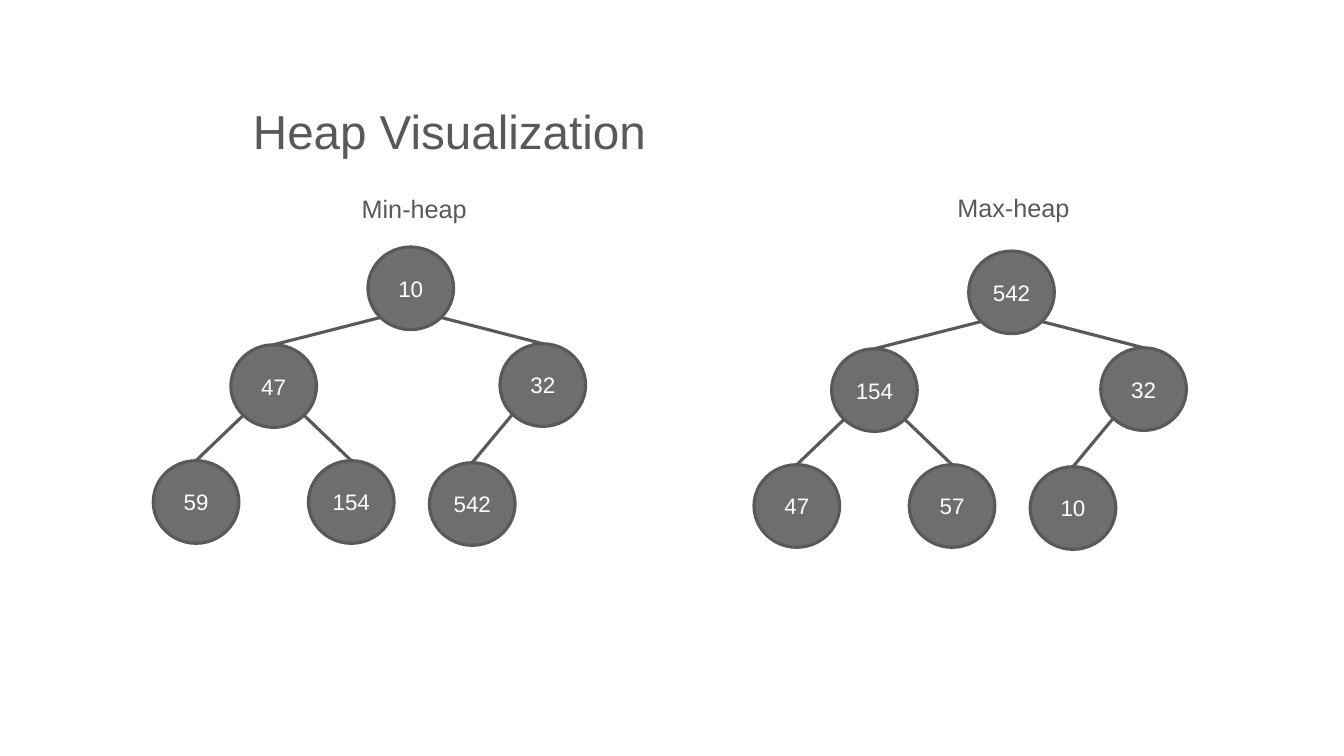
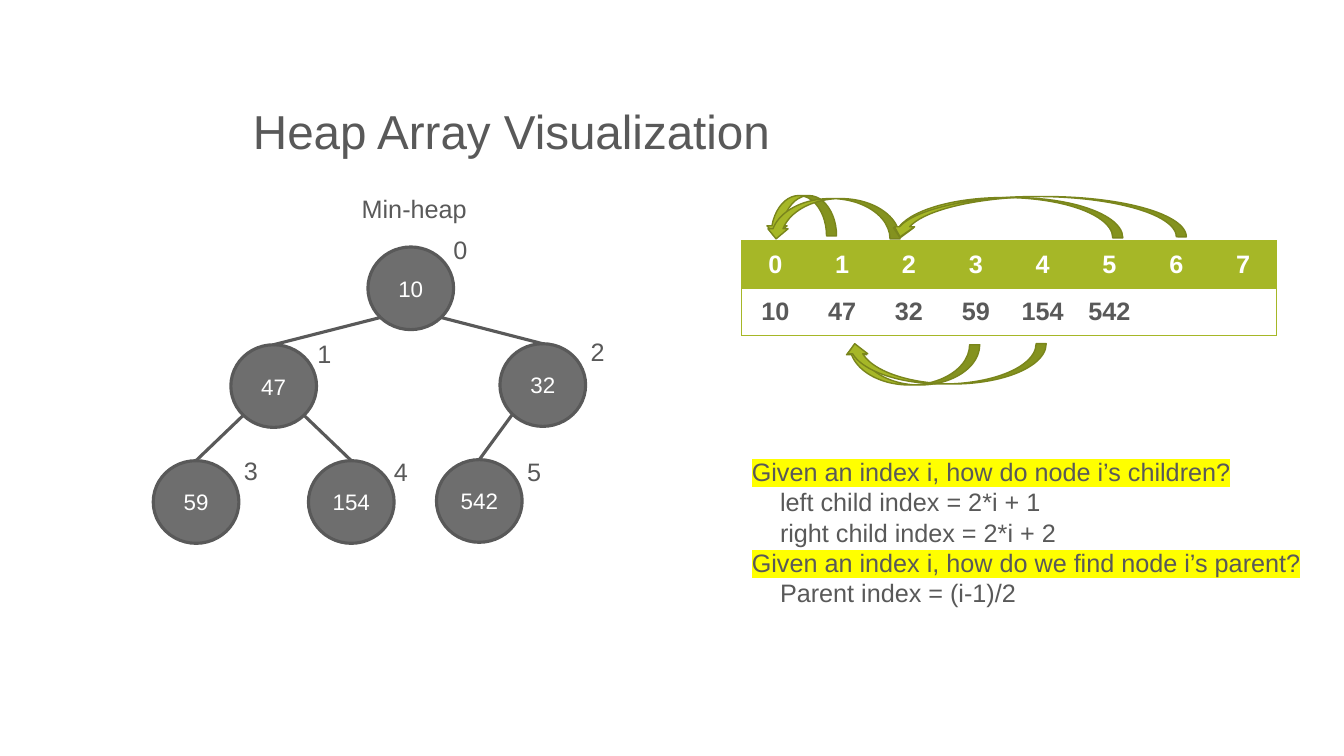
from lxml import etree
from pptx import Presentation
from pptx.dml.color import RGBColor
from pptx.enum.shapes import MSO_CONNECTOR, MSO_SHAPE
from pptx.enum.text import MSO_ANCHOR, MSO_AUTO_SIZE, PP_ALIGN
from pptx.oxml.ns import qn
from pptx.util import Inches, Pt

INK = RGBColor(0x59, 0x59, 0x59)
NODE_GRAY = RGBColor(0x6E, 0x6E, 0x6E)
WHITE = RGBColor(0xFF, 0xFF, 0xFF)
GREEN = RGBColor(0xA6, 0xB7, 0x27)
DARK_GREEN = RGBColor(0x79, 0x85, 0x1C)
YELLOW = RGBColor(0xFF, 0xFF, 0x00)

ELLIPSE = MSO_SHAPE.OVAL
ARC_ABOVE = MSO_SHAPE.CURVED_DOWN_ARROW
ARC_BELOW = MSO_SHAPE.CURVED_UP_ARROW
STRAIGHT = MSO_CONNECTOR.STRAIGHT
LEFT, CENTER = PP_ALIGN.LEFT, PP_ALIGN.CENTER
MIDDLE, BOTTOM = MSO_ANCHOR.MIDDLE, MSO_ANCHOR.BOTTOM
NO_FIT, GROW = MSO_AUTO_SIZE.NONE, MSO_AUTO_SIZE.SHAPE_TO_FIT_TEXT

COLUMNS, ROWS = 80, 45
NODE_WIDTH, NODE_HEIGHT = 5.1, 4.92
DIAGONAL = 0.5 ** 0.5
TITLE_ONLY = 5

TITLE_FONT = {"name": "Arial", "size": Pt(34), "bold": False}
BODY_FONT = {"name": "Arial", "size": Pt(18), "bold": False}
NODE_FONT = {"name": "Arial", "size": Pt(16), "bold": False}
CELL_FONT = {"name": "Arial", "size": Pt(18), "bold": True}
TITLE_FRAME = {"vertical_anchor": BOTTOM, "auto_size": NO_FIT, "word_wrap": True}
BODY_FRAME = {"auto_size": GROW, "word_wrap": True}
NODE_FRAME = {"vertical_anchor": MIDDLE, "word_wrap": True}
CELL_FORMAT = {"vertical_anchor": MIDDLE}
CELL_FORMAT.update({f"margin_{side}": Inches(0.08)
                    for side in ("left", "right", "top", "bottom")})

TREE = [(21.9, 14.7), (13.74, 20.52), (29.76, 20.46),
        (9.12, 27.42), (18.36, 27.42), (25.56, 27.54)]
INDEXED_TREE = TREE[:-1] + [(25.98, 27.36)]
INDEX_SPOTS = [(26.4, 13.68), (18.3, 19.86), (34.56, 19.74),
               (13.92, 26.82), (22.86, 26.88), (30.78, 26.88)]
MIN_HEAP = [10, 47, 32, 59, 154, 542]
MAX_HEAP = [542, 154, 32, 47, 57, 10]
MAX_TREE = [(column + 35.76, row + 0.24) for column, row in TREE]
PARENT_ARCS = [
    (ARC_ABOVE, 45.6, 11.64, 4.2),
    (ARC_ABOVE, 45.6, 11.82, 7.98),
    (ARC_BELOW, 50.28, 20.52, 8.04),
    (ARC_BELOW, 50.28, 20.46, 12),
    (ARC_ABOVE, 52.98, 11.76, 13.86),
    (ARC_ABOVE, 52.98, 11.7, 17.64),
]
INDEX_RULES = [
    ("Given an index i, how do node i’s children?", True),
    ("left child index = 2*i + 1", False),
    ("right child index = 2*i + 2", False),
    ("Given an index i, how do we find node i’s parent?", True),
    ("Parent index = (i-1)/2", False),
]


def apply(target, formats):
    for name, value in formats.items():
        setattr(target, name, value)


class HeapDeck:
    def __init__(self):
        self.deck = Presentation()
        apply(self.deck, {"slide_width": Inches(13.3333), "slide_height": Inches(7.5)})
        self.slide = None

    def x(self, columns):
        return round(self.deck.slide_width * columns / COLUMNS)

    def y(self, rows):
        return round(self.deck.slide_height * rows / ROWS)

    def box(self, column, row, width, height):
        return self.x(column), self.y(row), self.x(width), self.y(height)

    def add_text(self, paragraph, text, font, color, align=LEFT):
        paragraph.alignment = align
        run = paragraph.add_run()
        run.text = str(text)
        apply(run.font, font)
        run.font.color.rgb = color
        return run

    def add_slide(self, heading):
        self.slide = self.deck.slides.add_slide(self.deck.slide_layouts[TITLE_ONLY])
        title = self.slide.shapes.title
        apply(title, dict(zip(("left", "top", "width", "height"),
                              self.box(14.46, 1.98, 61.5, 7.86))))
        apply(title.text_frame, TITLE_FRAME)
        paragraph = title.text_frame.paragraphs[0]
        paragraph.line_spacing = 0.9
        self.add_text(paragraph, heading, TITLE_FONT, INK)

    def text_frame(self, column, row, width, height=2.4):
        frame = self.slide.shapes.add_textbox(*self.box(column, row, width, height)).text_frame
        apply(frame, BODY_FRAME)
        return frame

    def label(self, text, column, row, width):
        frame = self.text_frame(column, row, width)
        self.add_text(frame.paragraphs[0], text, BODY_FONT, INK)

    def shape(self, kind, bounds, fill, outline, weight):
        shape = self.slide.shapes.add_shape(kind, *self.box(*bounds))
        shape.shadow.inherit = False
        shape.fill.solid()
        shape.fill.fore_color.rgb = fill
        shape.line.color.rgb = outline
        shape.line.width = Pt(weight)
        return shape

    def node(self, value, column, row):
        node = self.shape(ELLIPSE, (column, row, NODE_WIDTH, NODE_HEIGHT),
                          NODE_GRAY, INK, 2.25)
        apply(node.text_frame, NODE_FRAME)
        self.add_text(node.text_frame.paragraphs[0], value, NODE_FONT, WHITE, CENTER)
        return node

    def edge(self, parent, child, side):
        start_x = parent.left + round(parent.width * (1 + side * DIAGONAL) / 2)
        start_y = parent.top + round(parent.height * (1 + DIAGONAL) / 2)
        edge = self.slide.shapes.add_connector(STRAIGHT, start_x, start_y, start_x, start_y)
        edge.end_connect(child, 0)
        edge.line.color.rgb = INK
        edge.line.width = Pt(2.25)
        etree.SubElement(edge._element.spPr, qn("a:effectLst"))

    def heap(self, values, spots):
        nodes = [self.node(value, *spot) for value, spot in zip(values, spots)]
        for index, child in enumerate(nodes[1:], 1):
            self.edge(nodes[(index - 1) // 2], child, -1 if index % 2 else 1)

    def parent_arc(self, kind, column, row, width):
        arc = self.shape(kind, (column, row, width, 2.4), GREEN, DARK_GREEN, 1)
        arc._element.spPr.find(qn("a:xfrm")).set("flipH", "1")

    def border(self, cell, side, visible):
        line = etree.SubElement(cell._tc.get_or_add_tcPr(), qn(f"a:ln{side}"), w=str(Pt(1)))
        if visible:
            fill = etree.SubElement(line, qn("a:solidFill"))
            etree.SubElement(fill, qn("a:srgbClr"), val=str(GREEN))
        else:
            etree.SubElement(line, qn("a:noFill"))

    def array_table(self, values, size, column, row):
        table = self.slide.shapes.add_table(
            2, size, *self.box(column, row, 3.98 * size, 5.64)).table
        apply(table, {"first_row": False, "horz_banding": False})
        contents = [list(range(size)), values + [""] * (size - len(values))]
        styles = [(GREEN, WHITE), (WHITE, INK)]
        for line, (entries, (fill, ink)) in enumerate(zip(contents, styles)):
            for index, entry in enumerate(entries):
                cell = table.cell(line, index)
                apply(cell, CELL_FORMAT)
                borders = {"L": index == 0, "R": index == size - 1, "T": True, "B": True}
                for side, visible in borders.items():
                    self.border(cell, side, visible)
                cell.fill.solid()
                cell.fill.fore_color.rgb = fill
                if entry != "":
                    self.add_text(cell.text_frame.paragraphs[0], entry, CELL_FONT, ink, CENTER)

    def rules(self, entries, column, row, width, height):
        frame = self.text_frame(column, row, width, height)
        for index, (text, question) in enumerate(entries):
            paragraph = frame.add_paragraph() if index else frame.paragraphs[0]
            run = self.add_text(paragraph, text, BODY_FONT, INK)
            if question:
                highlight = etree.Element(qn("a:highlight"))
                etree.SubElement(highlight, qn("a:srgbClr"), val=str(YELLOW))
                run._r.rPr.find(qn("a:latin")).addprevious(highlight)
            else:
                paragraph._p.get_or_add_pPr().set("marL", str(Inches(0.28)))


def main():
    show = HeapDeck()

    show.add_slide("Heap Visualization")
    show.heap(MIN_HEAP, TREE)
    show.heap(MAX_HEAP, MAX_TREE)
    show.label("Min-heap", 20.94, 11.22, 8.4)
    show.label("Max-heap", 56.4, 11.16, 8.4)

    show.add_slide("Heap Array Visualization")
    show.heap(MIN_HEAP, INDEXED_TREE)
    show.label("Min-heap", 20.94, 11.22, 8.4)
    for index, spot in enumerate(INDEX_SPOTS):
        show.label(index, *spot, 2.1)
    show.rules(INDEX_RULES, 44.16, 26.88, 34.74, 9.72)
    show.array_table(MIN_HEAP, 8, 44.16, 14.34)
    for arc in PARENT_ARCS:
        show.parent_arc(*arc)

    show.deck.save("out.pptx")


if __name__ == "__main__":
    main()
